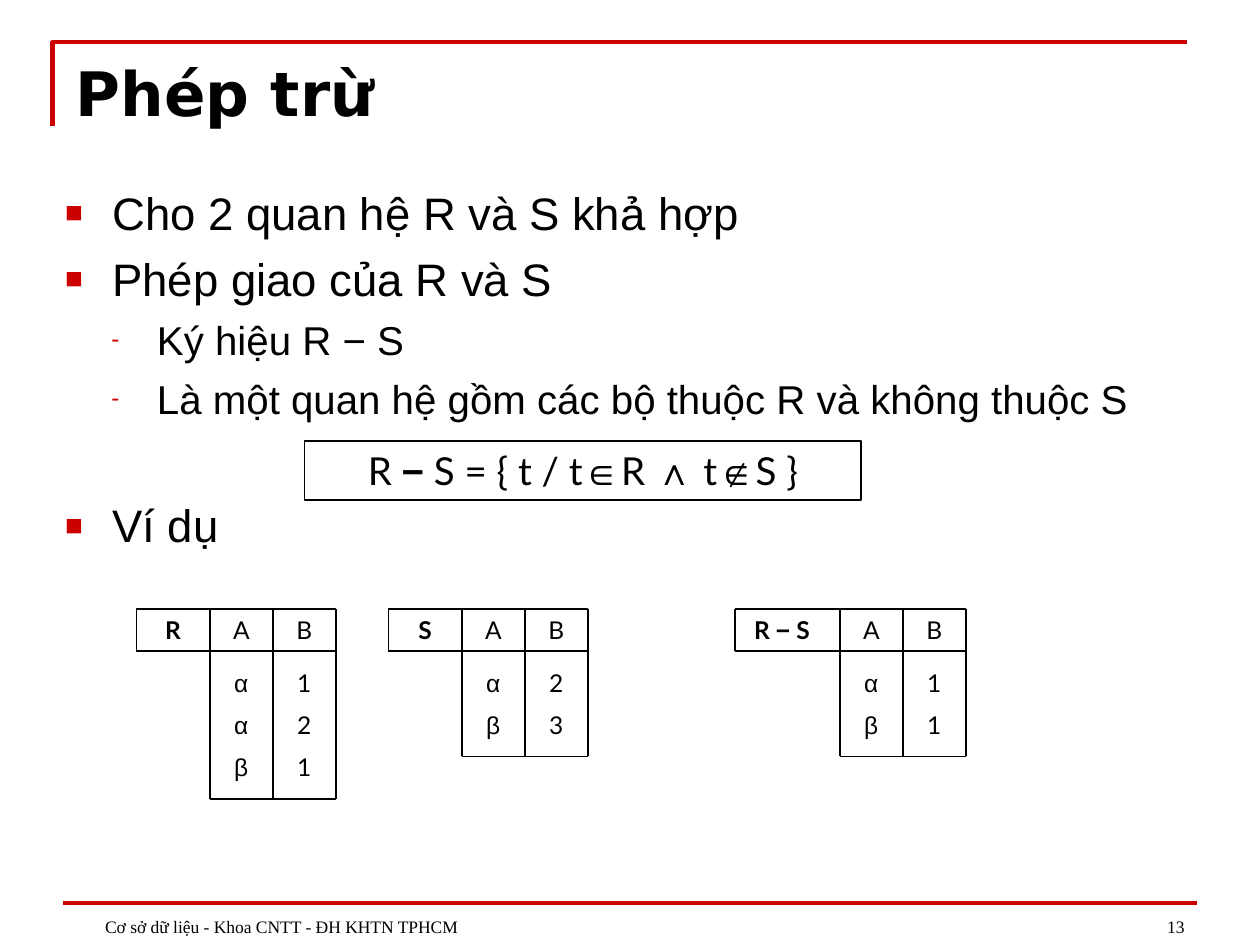
from itertools import groupby

from lxml.etree import SubElement
from pptx import Presentation
from pptx.dml.color import RGBColor
from pptx.enum.shapes import MSO_CONNECTOR, MSO_SHAPE
from pptx.enum.text import MSO_ANCHOR as Anchor, MSO_AUTO_SIZE, PP_ALIGN as Align
from pptx.oxml.ns import qn
from pptx.util import Cm, Pt

COLORS = {"accent": "CC0000", "ink": "000000"}
MATH_SYMBOLS = "−∈∧∉"

# Relation grid, in cm
GRID_TOP, ROW_HEIGHT, COLUMN_WIDTH, BODY_PADDING = 12.28, 0.85, 1.27, 0.21

# Text, level, space before in points
POINTS = [
    ("Cho 2 quan hệ R và S khả hợp", 0, 6.5),
    ("Phép giao của R và S", 0, 6.5),
    ("Ký hiệu R − S", 1, 5.8),
    ("Là một quan hệ gồm các bộ thuộc R và không thuộc S", 1, 5.8),
    ("Ví dụ", 0, 43),  # leaves room for the formula box
]
# Size, left margin (cm), hanging indent (cm), bullet, bullet size in percent
LEVELS = [(26, 0.95, 0.95, "■", 65), (23, 1.85, 0.92, "-", 60)]

# Name, left edge, name cell width, name label width, rows
RELATIONS = [
    ("R", 2.75, 1.48, 1.48, [("α", "1"), ("α", "2"), ("β", "1")]),
    ("S", 7.83, 1.48, 1.48, [("α", "2"), ("β", "3")]),
    ("R − S", 14.82, 2.11, 2.33, [("α", "1"), ("β", "1")]),
]


def color(name):
    return RGBColor.from_string(COLORS[name])


class SlideBuilder:
    def __init__(self, slide):
        self.slide = slide
        self.shapes = slide.shapes

    def style(self, run, size, font="Arial", bold=False):
        run.font.size, run.font.name, run.font.bold = Pt(size), font, bold
        run.font.color.rgb = color("ink")

    def stroke(self, shape, width, ink):
        shape.line.color.rgb = color(ink)
        shape.line.width = Pt(width)

    def line(self, x1, y1, x2, y2, width=1, ink="ink", parent=None):
        connector = (parent or self.shapes).add_connector(
            MSO_CONNECTOR.STRAIGHT, Cm(x1), Cm(y1), Cm(x2), Cm(y2))
        self.stroke(connector, width, ink)
        SubElement(connector._element.spPr, qn("a:effectLst"))

    def corner(self, left, top, right, bottom):
        builder = self.shapes.build_freeform(Cm(left), Cm(bottom))
        builder.add_line_segments(
            [(Cm(left), Cm(top)), (Cm(right), Cm(top))], close=False)
        frame = builder.convert_to_shape()
        frame.shadow.inherit = False
        frame.fill.background()
        self.stroke(frame, 2.5, "accent")

    def place(self, placeholder, left, top, width, height):
        placeholder.left, placeholder.top = Cm(left), Cm(top)
        placeholder.width, placeholder.height = Cm(width), Cm(height)
        frame = placeholder.text_frame
        frame.vertical_anchor = Anchor.TOP
        frame.auto_size = MSO_AUTO_SIZE.NONE
        return frame

    def title(self, text, *box):
        frame = self.place(self.shapes.title, *box)
        frame.text = text
        frame.paragraphs[0].alignment = Align.LEFT
        self.style(frame.paragraphs[0].runs[0], 35, "DejaVu Sans", True)

    def bullets(self, points, *box):
        frame = self.place(self.slide.placeholders[1], *box)
        frame.text = "\n".join(text for text, _, _ in points)
        for paragraph, (_, level, space) in zip(frame.paragraphs, points):
            size, margin, hanging, mark, percent = LEVELS[level]
            paragraph.level = level
            paragraph.alignment = Align.JUSTIFY
            paragraph.space_before = Pt(space)
            self.style(paragraph.runs[0], size)
            props = paragraph._p.get_or_add_pPr()
            props.set("marL", str(Cm(margin)))
            props.set("indent", str(-Cm(hanging)))
            SubElement(SubElement(props, qn("a:buClr")), qn("a:srgbClr"),
                       val=COLORS["accent"])
            SubElement(props, qn("a:buSzPct"), val=str(percent * 1000))
            SubElement(props, qn("a:buFont"), typeface="Arial")
            SubElement(props, qn("a:buChar"), char=mark)

    def expression(self, paragraph, text, size, bold=False):
        """Write text in Lato with its math symbols in bold Arial."""
        paragraph.alignment = Align.CENTER
        for is_symbol, chars in groupby(text, lambda char: char in MATH_SYMBOLS):
            run = paragraph.add_run()
            run.text = "".join(chars)
            self.style(run, size, "Arial" if is_symbol else "Lato", bold or is_symbol)

    def formula(self, text, left, top, width, height):
        box = self.shapes.add_shape(
            MSO_SHAPE.RECTANGLE, Cm(left), Cm(top), Cm(width), Cm(height))
        box.shadow.inherit = False
        box.fill.background()
        self.stroke(box, 1, "ink")
        box.text_frame.vertical_anchor = Anchor.TOP
        self.expression(box.text_frame.paragraphs[0], text, 22)

    def text_frame(self, left, top, width, height, parent=None):
        box = (parent or self.shapes).add_textbox(
            Cm(left), Cm(top), Cm(width), Cm(height))
        box.text_frame.word_wrap = True
        return box.text_frame

    def cell(self, group, text, left, top, width=COLUMN_WIDTH, bold=False):
        frame = self.text_frame(left, top, width, ROW_HEIGHT, group)
        paragraph = frame.paragraphs[0]
        if text in "αβ":
            paragraph.text = text
            paragraph.alignment = Align.CENTER
            self.style(paragraph.runs[0], 14)
        else:
            self.expression(paragraph, text, 14, bold)

    def relation(self, name, left, name_width, label_width, rows):
        """Draw a relation: name and attributes on top, tuples below."""
        group = self.shapes.add_group_shape().shapes
        header_bottom = GRID_TOP + ROW_HEIGHT
        rows_top = header_bottom + BODY_PADDING
        bottom = rows_top + len(rows) * ROW_HEIGHT + BODY_PADDING
        first = left + name_width
        edges = [first + i * COLUMN_WIDTH for i in range(3)]

        for y in (GRID_TOP, header_bottom):
            self.line(left, y, edges[-1], y, parent=group)
        self.line(first, bottom, edges[-1], bottom, parent=group)
        self.line(left, GRID_TOP, left, header_bottom, parent=group)
        for x in edges:
            self.line(x, GRID_TOP, x, bottom, parent=group)

        self.cell(group, name, first - label_width, GRID_TOP, label_width, True)
        tops = [GRID_TOP] + [rows_top + i * ROW_HEIGHT for i in range(len(rows))]
        for top, values in zip(tops, [("A", "B"), *rows]):
            for x, value in zip(edges, values):
                self.cell(group, value, x, top)

    def footer(self, text, left, width, alignment):
        frame = self.text_frame(left, 17.75, width, 1.27)
        frame.vertical_anchor = Anchor.BOTTOM
        paragraph = frame.paragraphs[0]
        paragraph.text = text
        paragraph.alignment = alignment
        paragraph._p.get_or_add_pPr().set("marL", str(Cm(0.6)))
        self.style(paragraph.runs[0], 10, "Times New Roman")


def main():
    deck = Presentation()
    deck.slide_width, deck.slide_height = Cm(25.4), Cm(19.05)
    page = SlideBuilder(deck.slides.add_slide(deck.slide_layouts[1]))

    page.corner(1.06, 0.85, 23.92, 2.54)
    page.line(1.27, 18.2, 24.13, 18.2, 2, "accent")
    page.title("Phép trừ", 1.27, 0.99, 22.86, 1.73)
    page.bullets(POINTS, 1.06, 3.6, 23.07, 14.18)
    page.formula("R − S = { t / t∈R ∧ t∉S }", 6.14, 8.89, 11.22, 1.19)
    for relation in RELATIONS:
        page.relation(*relation)
    page.footer("13", 18.2, 5.93, Align.RIGHT)
    page.footer("Cơ sở dữ liệu - Khoa CNTT - ĐH KHTN TPHCM", 1.27, 15.45, Align.LEFT)

    deck.save("out.pptx")


if __name__ == "__main__":
    main()
